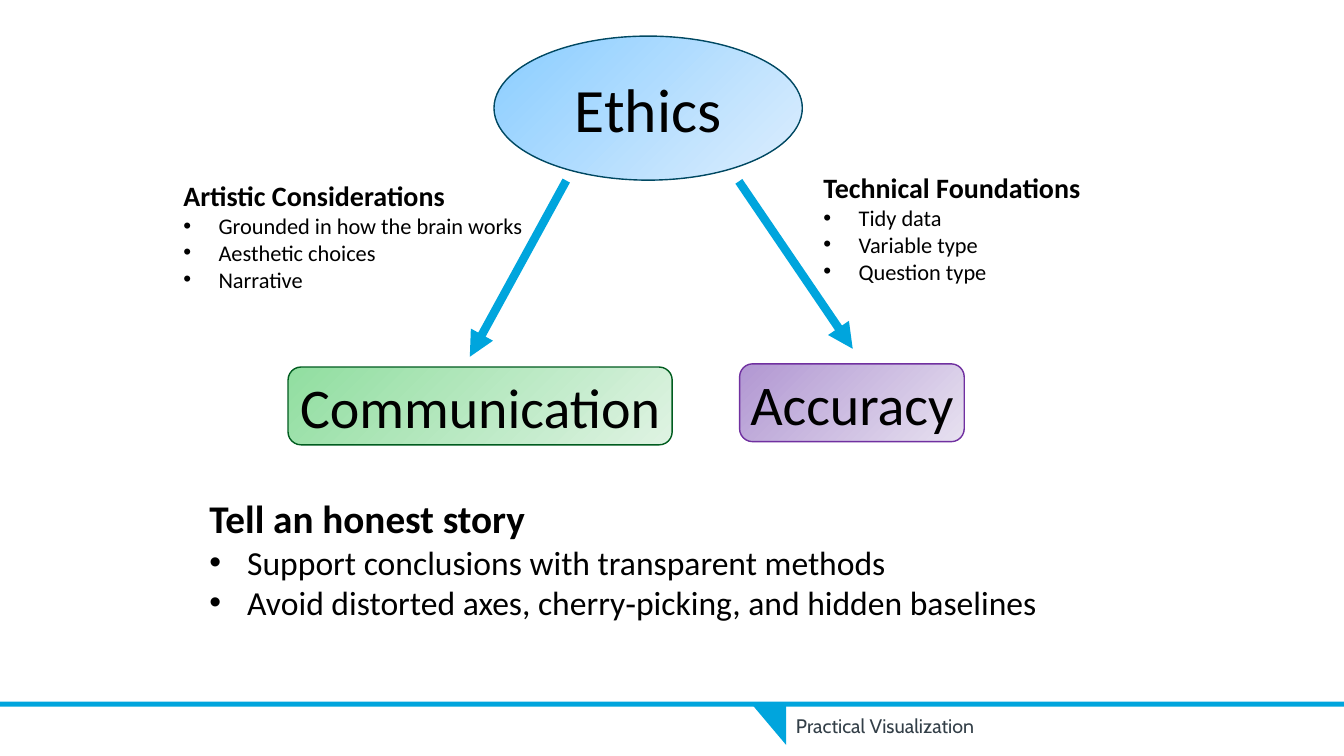
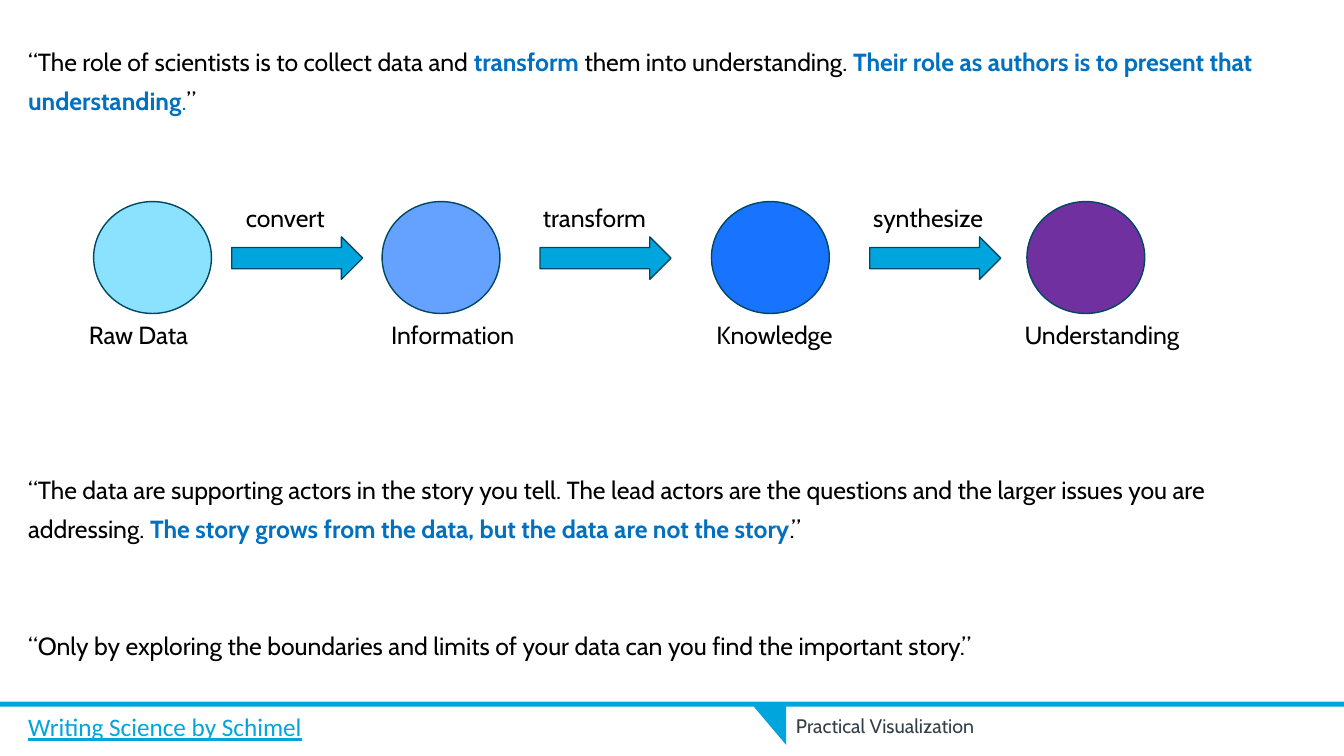
from dataclasses import dataclass

from lxml import etree
from pptx import Presentation
from pptx.dml.color import RGBColor
from pptx.enum.shapes import MSO_CONNECTOR, MSO_SHAPE
from pptx.enum.text import MSO_ANCHOR, PP_ALIGN
from pptx.oxml.ns import qn
from pptx.util import Cm, Pt

RECTANGLE = MSO_SHAPE.RECTANGLE
TRIANGLE = MSO_SHAPE.RIGHT_TRIANGLE
OVAL = MSO_SHAPE.OVAL
ROUNDED = MSO_SHAPE.ROUNDED_RECTANGLE
RIGHT_ARROW = MSO_SHAPE.RIGHT_ARROW
STRAIGHT = MSO_CONNECTOR.STRAIGHT
LEFT, CENTER = PP_ALIGN.LEFT, PP_ALIGN.CENTER
TOP, MIDDLE = MSO_ANCHOR.TOP, MSO_ANCHOR.MIDDLE


@dataclass(frozen=True)
class Theme:
    accent: str = "00A5DD"
    outline: str = "004861"
    text: str = "000000"
    emphasis: str = "0070C0"
    footer: str = "333F48"
    diagram_font: str = "Calibri"
    body_font: str = "Cabin"
    footer_size: float = 14
    quote_size: float = 17.7
    link_size: float = 18
    quote_spacing: float = 1.3


THEME = Theme()
SLIDE_WIDTH, SLIDE_HEIGHT = 33.87, 19.05
FOOTER = "Practical Visualization"

# Text, shape, box in cm, gradient ends, outline, type size
CONCEPTS = [
    ("Ethics", OVAL, (12.45, 0.91, 7.77, 3.63), ("8ACDFF", "DDEEFE"), THEME.outline, 44),
    ("Communication", ROUNDED, (7.26, 9.25, 9.68, 1.96), ("91DEA0", "DFF3E3"), "005C1F", 40),
    ("Accuracy", ROUNDED, (18.64, 9.17, 5.66, 1.96), ("B197D2", "E7E1F0"), "7030A0", 40),
]
CONCEPT_ARROWS = [((14.27, 4.55), (11.84, 8.99)), ((18.62, 4.57), (21.49, 8.79))]

# Heading, bullets, box in cm, heading size, bullet size, indent in cm
BULLET_LISTS = [
    ("Tell an honest story",
     ["Support conclusions with transparent methods",
      "Avoid distorted axes, cherry‑picking, and hidden baselines"],
     (5.03, 12.34, 22.5, 4.52), 28, 24, 0.95),
    ("Artistic Considerations",
     ["Grounded in how the brain works", "Aesthetic choices", "Narrative"],
     (4.37, 4.37, 9.65, 3.94), 20, 16, 0.89),
    ("Technical Foundations",
     ["Tidy data", "Variable type", "Question type"],
     (20.5, 4.17, 7.6, 3.94), 20, 16, 0.89),
]

# Text line on which each quote starts, then (text, blue, bold) parts
QUOTES = [
    (0, [("“The role of scientists is to collect data and ", False, False),
         ("transform ", True, True),
         ("them into understanding. ", False, False),
         ("Their role as authors is to present that understanding", True, True),
         (".", True, False),
         ("”", False, False)]),
    (11, [("“The data are supporting actors in the story you tell. The lead actors are "
           "the questions and the larger issues you are addressing. ", False, False),
          ("The story grows from the data, but the data are not the story", True, True),
          (".”", False, False)]),
    (15, [("“Only by exploring the boundaries and limits of your data can you find "
           "the important story.”", False, False)]),
]
QUOTE_LEFT, QUOTE_TOP, QUOTE_WIDTH, QUOTE_LINE = 0.46, 0.84, 33.12, 0.98

# Label, label centre, shape left, fill
STAGES = [
    ("Raw Data", 3.49, 2.36, "8BE2FF"),
    ("Information", 11.41, 9.63, "65A1FF"),
    ("Knowledge", 19.52, 17.93, "1873FF"),
    ("Understanding", 27.77, 25.88, "7030A0"),
]
STEPS = [
    ("convert", 7.19, 5.84, THEME.accent),
    ("transform", 14.98, 13.61, THEME.accent),
    ("synthesize", 23.39, 21.92, THEME.accent),
]
# Items, shape, top, width, height, text line of the labels
PROCESS_ROWS = [
    (STAGES, OVAL, 5.08, 2.97, 2.82, 7),
    (STEPS, RIGHT_ARROW, 5.97, 3.3, 1.07, 4),
]
LABEL_WIDTH = 5
SOURCE = "Writing Science by Schimel"


def color(value):
    return RGBColor.from_string(value)


def cm_box(box):
    return [Cm(length) for length in box]


def style(paragraph, font, size, text_color=THEME.text, bold=False, align=LEFT):
    paragraph.alignment = align
    paragraph.font.name = font
    paragraph.font.size = Pt(size)
    paragraph.font.bold = bold
    paragraph.font.color.rgb = color(text_color)


def add_shape(slide, kind, box, fill, outline=None):
    """Fill is one colour, or a pair for a diagonal gradient."""
    shape = slide.shapes.add_shape(kind, *cm_box(box))
    shape.shadow.inherit = False
    if isinstance(fill, tuple):
        shape.fill.gradient()
        shape.fill.gradient_angle = 315
        for stop, value in zip(shape.fill.gradient_stops, fill):
            stop.color.rgb = color(value)
    else:
        shape.fill.solid()
        shape.fill.fore_color.rgb = color(fill)
    if outline:
        shape.line.color.rgb = color(outline)
        shape.line.width = Pt(1)
    else:
        shape.line.fill.background()
    return shape


def add_text_frame(slide, box):
    frame = slide.shapes.add_textbox(*cm_box(box)).text_frame
    frame.word_wrap = True
    frame.vertical_anchor = TOP
    return frame


def add_arrow(slide, start, end):
    connector = slide.shapes.add_connector(STRAIGHT, *cm_box(start + end))
    connector.line.color.rgb = color(THEME.accent)
    connector.line.width = Pt(6)
    properties = connector.element.spPr
    etree.SubElement(properties.find(qn("a:ln")), qn("a:tailEnd"), type="triangle")
    etree.SubElement(properties, qn("a:effectLst"))


def add_bullet(paragraph, indent):
    properties = paragraph._p.get_or_add_pPr()
    properties.set("marL", str(Cm(indent)))
    properties.set("indent", str(-Cm(indent)))
    etree.SubElement(properties, qn("a:buFont"), typeface="Arial")
    etree.SubElement(properties, qn("a:buChar"), char="•")


def add_bullet_list(slide, heading, bullets, box, heading_size, bullet_size, indent):
    frame = add_text_frame(slide, box)
    title = frame.paragraphs[0]
    title.text = heading
    style(title, THEME.diagram_font, heading_size, bold=True)
    for text in bullets:
        paragraph = frame.add_paragraph()
        paragraph.text = text
        add_bullet(paragraph, indent)
        style(paragraph, THEME.diagram_font, bullet_size)


def add_quote_text(slide, line, parts, left=QUOTE_LEFT, width=QUOTE_WIDTH, align=LEFT):
    """Place text on one line of the slide's text grid."""
    top = QUOTE_TOP + line * QUOTE_LINE
    paragraph = add_text_frame(slide, (left, top, width, 1.2)).paragraphs[0]
    paragraph.line_spacing = THEME.quote_spacing
    style(paragraph, THEME.body_font, THEME.quote_size, align=align)
    for text, blue, bold in parts:
        run = paragraph.add_run()
        run.text = text
        if blue:
            run.font.color.rgb = color(THEME.emphasis)
        if bold:
            run.font.bold = True


def move_band_to_layout(slide):
    """Draw the footer band once, on the layout that all slides use."""
    layout = slide.slide_layout
    for placeholder in list(layout.placeholders):
        layout.shapes.element.remove(placeholder.element)
    bar = add_shape(slide, RECTANGLE, (0, 17.68, SLIDE_WIDTH, 0.13), THEME.accent)
    marker = add_shape(slide, TRIANGLE, (18.95, 17.75, 0.86, 1.02), THEME.accent)
    marker.rotation = 180
    for shape in (bar, marker):
        layout.shapes.element.append(shape.element)


def add_footer(slide):
    frame = add_text_frame(slide, (19.81, 18.06, 14.05, 0.53))
    frame.margin_top = frame.margin_bottom = 0
    paragraph = frame.paragraphs[0]
    paragraph.text = FOOTER
    paragraph.line_spacing = 0.9
    style(paragraph, THEME.body_font, THEME.footer_size, THEME.footer)


def build_ethics(slide):
    for text, kind, box, gradient, outline, size in CONCEPTS:
        frame = add_shape(slide, kind, box, gradient, outline).text_frame
        frame.margin_left = frame.margin_right = 0
        frame.margin_top = frame.margin_bottom = 0
        frame.word_wrap = False
        frame.vertical_anchor = MIDDLE
        paragraph = frame.paragraphs[0]
        paragraph.text = text
        style(paragraph, THEME.diagram_font, size, align=CENTER)
    for start, end in CONCEPT_ARROWS:
        add_arrow(slide, start, end)
    for bullet_list in BULLET_LISTS:
        add_bullet_list(slide, *bullet_list)


def build_process(slide):
    for line, parts in QUOTES:
        add_quote_text(slide, line, parts)
    for items, kind, top, width, height, label_line in PROCESS_ROWS:
        for label, center, left, fill in items:
            add_shape(slide, kind, (left, top, width, height), fill, THEME.outline)
            add_quote_text(slide, label_line, [(label, False, False)],
                           center - LABEL_WIDTH / 2, LABEL_WIDTH, CENTER)
    source = add_text_frame(slide, (0.46, 17.81, 7.6, 1.02)).paragraphs[0]
    source.text = SOURCE
    style(source, THEME.diagram_font, THEME.link_size, THEME.accent)
    source.font.underline = True


def main():
    presentation = Presentation()
    presentation.slide_width = Cm(SLIDE_WIDTH)
    presentation.slide_height = Cm(SLIDE_HEIGHT)
    blank = presentation.slide_layouts[6]
    for number, build in enumerate((build_ethics, build_process)):
        slide = presentation.slides.add_slide(blank)
        if number == 0:
            move_band_to_layout(slide)
        add_footer(slide)
        build(slide)
    presentation.save("out.pptx")


if __name__ == "__main__":
    main()
